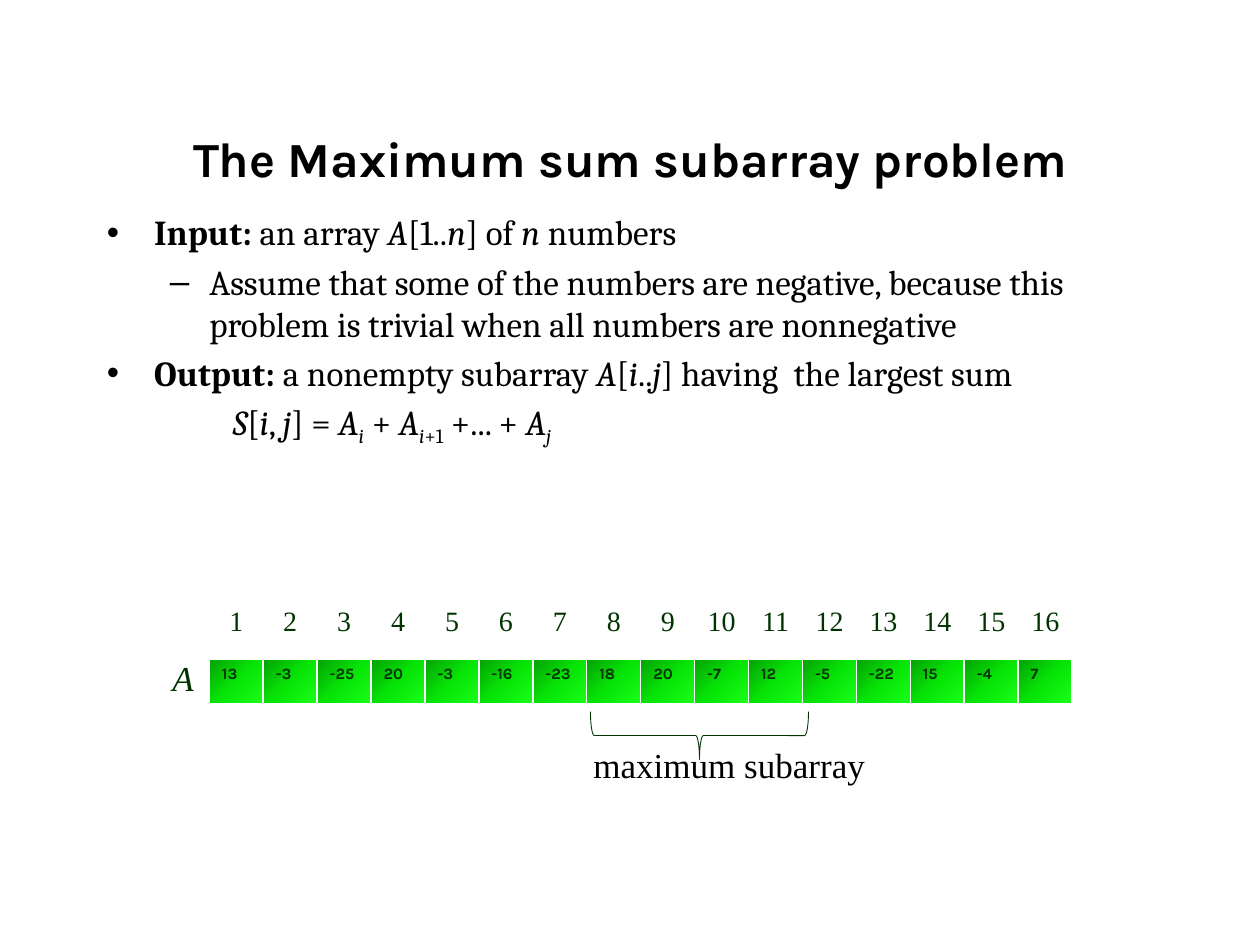
from dataclasses import dataclass

from lxml import etree
from pptx import Presentation
from pptx.dml.color import RGBColor
from pptx.enum.shapes import MSO_SHAPE
from pptx.enum.text import MSO_ANCHOR, PP_ALIGN
from pptx.oxml.ns import qn
from pptx.util import Pt

BRACE = MSO_SHAPE.RIGHT_BRACE
TOP, MIDDLE = MSO_ANCHOR.TOP, MSO_ANCHOR.MIDDLE
LEFT, CENTER = PP_ALIGN.LEFT, PP_ALIGN.CENTER


@dataclass(frozen=True)
class Theme:
    """Colours, fonts and type sizes of the slide."""
    ink: str = "000000"
    green: str = "003300"
    border: str = "FFFFFF"
    gradient: tuple = ((0, "05A105"), (50, "07E507"), (100, "1AFF1A"))
    head_font: str = "Karla"
    body_font: str = "Cambria"
    label_font: str = "Times New Roman"
    title: int = 28
    body: int = 20
    index: int = 16
    cell: int = 9


def add_xml(parent, tag, **attrs):
    """Append a DrawingML element and return it."""
    return etree.SubElement(parent, qn(tag), {k: str(v) for k, v in attrs.items()})


def add_solid(parent, color):
    """Append a solid fill."""
    add_xml(add_xml(parent, "a:solidFill"), "a:srgbClr", val=color)


class Builder:
    """Draws elements on the current slide in one theme."""

    def __init__(self, slide, theme):
        """Keep the slide and the theme."""
        self.s, self.t = slide, theme

    def run(self, p, text, font, size, color, style=""):
        """Add a run; style letters are b bold, i italic, s subscript."""
        r = p.add_run()
        r.text = text
        f = r.font
        f.name, f.size, f.color.rgb = font, Pt(size), RGBColor.from_string(color)
        f.bold, f.italic = "b" in style, "i" in style
        if "s" in style:
            r._r.get_or_add_rPr().set("baseline", "-25000")

    def frame(self, x, y, w, h, anchor=TOP):
        """Add an empty wrapping text box and return its text frame."""
        tf = self.s.shapes.add_textbox(Pt(x), Pt(y), Pt(w), Pt(h)).text_frame
        tf.word_wrap, tf.vertical_anchor = True, anchor
        return tf

    def text(self, box, text, font, size, color, style="", align=LEFT, anchor=TOP):
        """Add a one-run text box."""
        p = self.frame(*box, anchor).paragraphs[0]
        p.alignment = align
        self.run(p, text, font, size, color, style)

    def body(self, box, items):
        """Add paragraphs given as bullet, left margin, hanging width and runs."""
        tf = self.frame(*box)
        for n, (bullet, margin, hang, runs) in enumerate(items):
            p = tf.add_paragraph() if n else tf.paragraphs[0]
            p.space_before = Pt(4)
            pPr = p._p.get_or_add_pPr()
            pPr.set("marL", str(Pt(margin)))
            pPr.set("indent", str(-Pt(hang)))
            if bullet:
                add_xml(pPr, "a:buFont", typeface="Arial")
                add_xml(pPr, "a:buChar", char=bullet)
            for text, style in runs:
                self.run(p, text, self.t.body_font, self.t.body, self.t.ink, style)

    def indices(self, box, count, step):
        """Number the cells with tab stops at their centres."""
        tf = self.frame(*box)
        tf.margin_left = tf.margin_right = 0
        p = tf.paragraphs[0]
        tabs = add_xml(p._p.get_or_add_pPr(), "a:tabLst")
        for n in range(count):
            add_xml(tabs, "a:tab", pos=Pt(step * (n + 0.5)), algn="ctr")
            self.run(p, f"\t{n + 1}", self.t.label_font, self.t.index, self.t.green)

    def array(self, x, y, step, h, values):
        """Add a one-row table of gradient cells."""
        frame = self.s.shapes.add_table(1, len(values), Pt(x), Pt(y),
                                        Pt(step * len(values)), Pt(h))
        table = frame.table
        table.first_row = table.horz_banding = False
        for n, value in enumerate(values):
            table.columns[n].width = Pt(step)
            cell = table.cell(0, n)
            self.run(cell.text_frame.paragraphs[0], str(value),
                     self.t.head_font, self.t.cell, self.t.green, "b")
            tcPr = cell._tc.get_or_add_tcPr()
            for side, width in zip("LRTB", (1, 1, 1, 3)):
                add_solid(add_xml(tcPr, f"a:ln{side}", w=Pt(width)), self.t.border)
            grad = add_xml(tcPr, "a:gradFill", rotWithShape=1)
            stops = add_xml(grad, "a:gsLst")
            for pos, color in self.t.gradient:
                add_xml(add_xml(stops, "a:gs", pos=pos * 1000), "a:srgbClr", val=color)
            add_xml(grad, "a:lin", ang=45 * 60000, scaled=0)

    def brace(self, x, y, w, h):
        """Add a brace that points down, given its box before rotation."""
        sp = self.s.shapes.add_shape(BRACE, Pt(x), Pt(y), Pt(w), Pt(h))
        sp.rotation = 90
        sp.adjustments[0], sp.adjustments[1] = 0.08, 0.5
        sp.shadow.inherit = False
        sp.fill.background()
        sp.line.color.rgb = RGBColor.from_string(self.t.green)
        sp.line.width = Pt(0.5)


def main():
    """Build the slide and save it."""
    prs = Presentation()
    prs.slide_width, prs.slide_height = Pt(720), Pt(540)
    t = Theme()
    b = Builder(prs.slides.add_slide(prs.slide_layouts[6]), t)
    b.text((36, 45, 648, 90), "The Maximum sum subarray problem",
           t.head_font, t.title, t.ink, "b", CENTER, MIDDLE)
    b.body((54, 117, 630, 157), [
        ("•", 27, 27, [("Input: ", "b"), ("an array ", ""), ("A", "i"), ("[1..", ""),
                       ("n", "i"), ("] of ", ""), ("n", "i"), (" numbers", "")]),
        ("–", 58.5, 22.5, [("Assume that some of the numbers are negative, because "
                            "this problem is trivial when all numbers are "
                            "nonnegative", "")]),
        ("•", 27, 27, [("Output: ", "b"), ("a nonempty subarray ", ""), ("A", "i"),
                       ("[", ""), ("i", "i"), ("..", ""), ("j", "i"),
                       ("] having  the largest sum", "")]),
        ("", 72, 0, [("S", "i"), ("[", ""), ("i", "i"), (", ", ""), ("j", "i"),
                     ("] = ", ""), ("A", "i"), ("i", "is"), (" + ", ""), ("A", "i"),
                     ("i", "is"), ("+1", "s"), (" +... + ", ""), ("A", "i"),
                     ("j", "is")]),
    ])
    values = [13, -3, -25, 20, -3, -16, -23, 18, 20, -7, 12, -5, -22, 15, -4, 7]
    left, step = 119.6, 30.82
    b.text((91.5, 371.5, 28, 32), "A", t.label_font, t.body, t.green, "i")
    b.array(left, 376.6, step, 26.6, values)
    b.indices((left, 341.3, 527, 26.6), len(values), step)
    b.brace(386, 358, 27.4, 124.6)
    b.text((332, 421.2, 176.4, 32), "maximum subarray", t.label_font, t.body, t.ink)
    prs.save("out.pptx")


if __name__ == "__main__":
    main()
